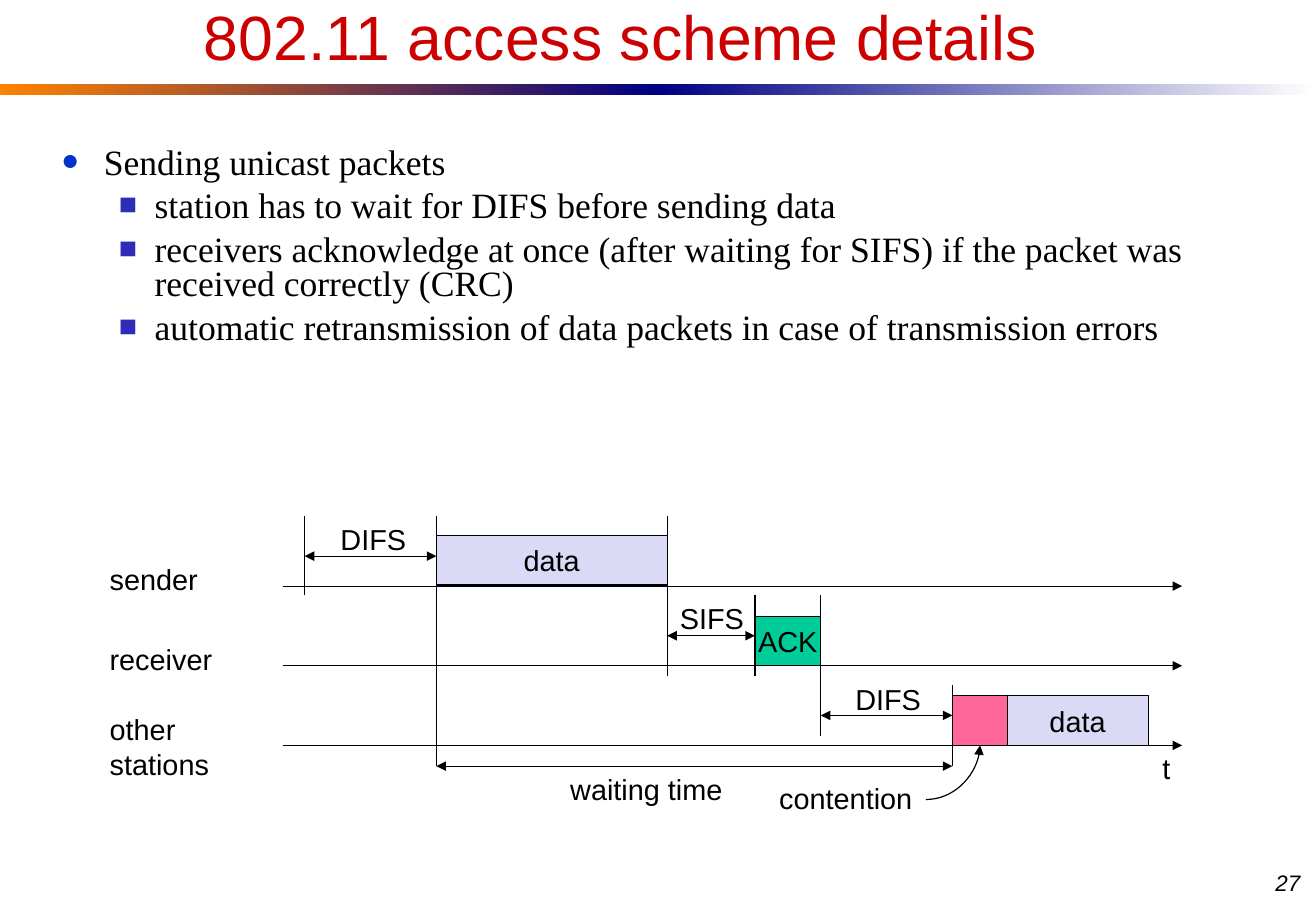
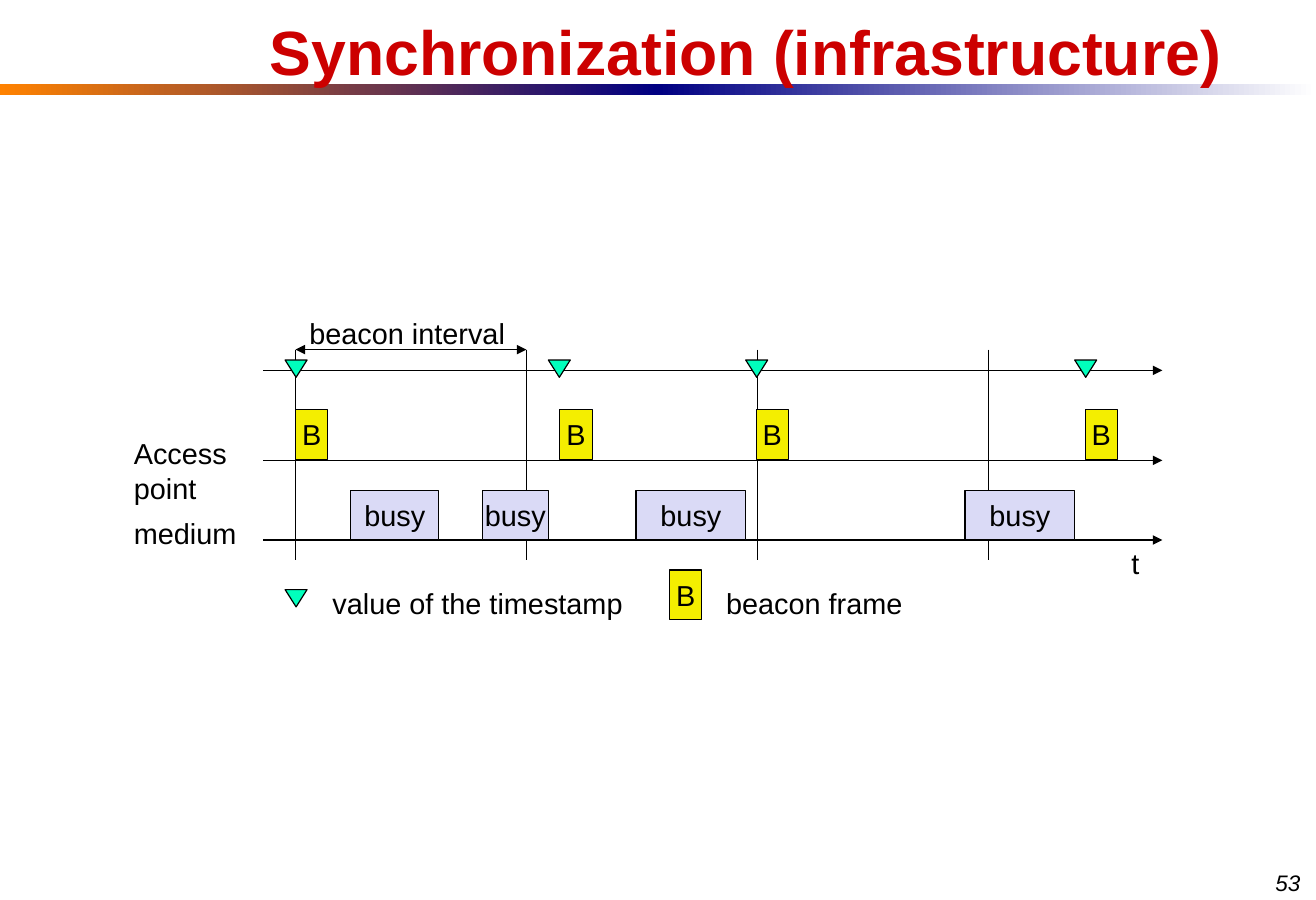
from lxml import etree
from pptx import Presentation
from pptx.dml.color import RGBColor
from pptx.enum.shapes import MSO_CONNECTOR, MSO_SHAPE
from pptx.enum.text import MSO_ANCHOR, MSO_AUTO_SIZE, PP_ALIGN
from pptx.oxml.ns import qn
from pptx.util import Inches, Pt

STRAIGHT, CURVE = MSO_CONNECTOR.STRAIGHT, MSO_CONNECTOR.CURVE
RECT, TRIANGLE = MSO_SHAPE.RECTANGLE, MSO_SHAPE.ISOSCELES_TRIANGLE
MIDDLE, TOP = MSO_ANCHOR.MIDDLE, MSO_ANCHOR.TOP
LEFT, CENTER = PP_ALIGN.LEFT, PP_ALIGN.CENTER
NO_FIT = MSO_AUTO_SIZE.NONE

BLACK = RGBColor(0x00, 0x00, 0x00)
WHITE = RGBColor(0xFF, 0xFF, 0xFF)
RED = RGBColor(0xCC, 0x00, 0x00)
ORANGE = RGBColor(0xFF, 0x82, 0x00)
NAVY = RGBColor(0x00, 0x00, 0x82)
BLUE = RGBColor(0x00, 0x33, 0xCC)
INDIGO = RGBColor(0x2D, 0x2D, 0xB9)
LAVENDER = RGBColor(0xDA, 0xDA, 0xF6)
GREEN = RGBColor(0x00, 0xCC, 0x99)
PINK = RGBColor(0xFF, 0x66, 0x99)
YELLOW = RGBColor(0xF4, 0xEE, 0x00)
MINT = RGBColor(0x01, 0xFF, 0xBC)

TITLE_FONT = {"name": "Arial", "size": Pt(39)}
BODY_FONT = {"name": "Times New Roman", "size": Pt(22.2)}
LABEL_FONT = {"name": "Arial", "size": Pt(18)}
NUMBER_FONT = {"name": "Arial", "size": Pt(14), "italic": True}
FRAME_TEXT = {"margin_left": Inches(0.11), "margin_right": Inches(0.11),
              "word_wrap": False, "vertical_anchor": MIDDLE}
LABEL_TEXT = {"margin_left": Inches(0.11), "margin_right": Inches(0.05),
              "word_wrap": True, "auto_size": NO_FIT}


def style_text(tf, font, color=BLACK, align=LEFT, **para):
    for p in tf.paragraphs:
        p.alignment = align
        for key, value in para.items():
            setattr(p, key, value)
        for r in p.runs:
            for key, value in font.items():
                setattr(r.font, key, value)
            r.font.color.rgb = color


def add_line(s, x1, y1, x2, y2, ends=(), kind=STRAIGHT):
    c = s.shapes.add_connector(kind, Inches(x1), Inches(y1), Inches(x2), Inches(y2))
    c.line.color.rgb = BLACK
    c.line.width = Pt(0.75)
    ln = c.line._get_or_add_ln()
    for end in ends:
        etree.SubElement(ln, qn("a:" + end), type="triangle")
    etree.SubElement(c._element.spPr, qn("a:effectLst"))
    return c


TO_END, BOTH_ENDS = ("tailEnd",), ("headEnd", "tailEnd")

prs = Presentation()
prs.slide_width, prs.slide_height = Inches(11.4), Inches(7.8)

# Slides with title and page number
slides = []
for layout, title, bold, number, x, w, h in [
    (1, "802.11 access scheme details", False, "27", 0.2, 10.35, 1.04),
    (5, "Synchronization (infrastructure)", True, "53", 1.9, 9.12, 1.3),
]:
    s = prs.slides.add_slide(prs.slide_layouts[layout])
    sp = s.shapes.title
    sp.left, sp.top, sp.width, sp.height = map(Inches, (x, -0.18, w, h))
    tf = sp.text_frame
    tf.text = title
    tf.auto_size, tf.vertical_anchor = NO_FIT, MIDDLE
    style_text(tf, {**TITLE_FONT, "bold": bold}, RED, CENTER, line_spacing=0.93)

    sp = s.shapes.add_textbox(*map(Inches, (10.95, 7.48, 0.45, 0.34)))
    sp.text_frame.text = number
    sp.text_frame.word_wrap = True
    style_text(sp.text_frame, NUMBER_FONT)
    slides.append(s)
access, sync = slides

# Gradient band, moved to the master that both slides share
for i, colors in enumerate([(ORANGE, NAVY), (NAVY, WHITE)]):
    sp = access.shapes.add_shape(RECT, *map(Inches, (5.7 * i, 0.73, 5.7, 0.09)))
    sp.shadow.inherit = False
    sp.line.fill.background()
    sp.fill.gradient()
    sp.fill.gradient_angle = 0
    for stop, color in zip(sp.fill.gradient_stops, colors):
        stop.color.rgb = color
    prs.slide_master.shapes._spTree.insert(2 + i, sp._element)

# Bulleted list
body = access.placeholders[1]
body.left, body.top, body.width, body.height = map(Inches, (0.43, 1.23, 10.35, 2.07))
tf = body.text_frame
tf.text = "\n".join([
    "Sending unicast packets",
    "station has to wait for DIFS before sending data",
    "receivers acknowledge at once (after waiting for SIFS) if the packet was "
    "received correctly (CRC)",
    "automatic retransmission of data packets in case of transmission errors",
])
tf.auto_size, tf.vertical_anchor = NO_FIT, TOP
style_text(tf, BODY_FONT, line_spacing=0.8, space_before=Pt(6), space_after=Pt(0))
tf.paragraphs[0].space_before = Pt(7)
for i, p in enumerate(tf.paragraphs):
    p.level = min(i, 1)
    margin, indent, color, char = [(0.37, -0.37, BLUE, "●"),
                                   (0.81, -0.31, INDIGO, "■")][p.level]
    pPr = p._p.get_or_add_pPr()
    pPr.set("marL", str(Inches(margin)))
    pPr.set("indent", str(Inches(indent)))
    clr = etree.SubElement(pPr, qn("a:buClr"))
    etree.SubElement(clr, qn("a:srgbClr"), val=str(color))
    etree.SubElement(pPr, qn("a:buSzPct"), val="85000")
    etree.SubElement(pPr, qn("a:buFont"), typeface="Times New Roman")
    etree.SubElement(pPr, qn("a:buChar"), char=char)

# Time axes
for s, x, ys in [(access, 2.45, (5.08, 5.77, 6.46)), (sync, 2.28, (3.21, 3.99, 4.68))]:
    for y in ys:
        add_line(s, x, y, x + 7.79, y, TO_END)

# Access scheme: time marks and intervals
for x, top, bottom in [(2.64, 4.47, 5.16), (3.78, 4.47, 6.64), (5.78, 4.47, 5.86),
                       (6.54, 5.16, 5.86), (7.11, 5.16, 6.38), (8.25, 5.94, 6.64)]:
    add_line(access, x, bottom, x, top)
for x1, x2, y in [(2.64, 3.78, 4.82), (5.78, 6.54, 5.51),
                  (7.11, 8.25, 6.2), (3.78, 8.25, 6.64)]:
    add_line(access, x1, y, x2, y, BOTH_ENDS)

# Synchronization: beacon intervals
for i in range(4):
    x = 2.56 + 2 * i
    add_line(sync, x, 3.03, x, 4.85)
add_line(sync, 2.56, 3.03, 4.56, 3.03, BOTH_ENDS)

# Frames and timestamps
frames = [
    (access, RECT, 3.78, 4.64, 2, 0.43, LAVENDER, "data"),
    (access, RECT, 6.54, 5.34, 0.57, 0.43, GREEN, "ACK"),
    (access, RECT, 8.72, 6.03, 1.23, 0.43, LAVENDER, "data"),
    (access, RECT, 8.25, 6.03, 0.48, 0.43, PINK, ""),
]
for x, w in [(3.04, 0.76), (4.18, 0.57), (5.51, 0.95), (8.36, 0.95)]:
    frames.append((sync, RECT, x, 4.25, w, 0.43, LAVENDER, "busy"))
for x, y in [(2.56, 3.55), (4.85, 3.55), (6.55, 3.55), (9.4, 3.55), (5.8, 4.94)]:
    frames.append((sync, RECT, x, y, 0.28, 0.43, YELLOW, "B"))
for x, y in [(2.47, 3.12), (4.75, 3.12), (6.46, 3.12), (9.31, 3.12), (2.47, 5.11)]:
    frames.append((sync, TRIANGLE, x, y, 0.19, 0.15, MINT, ""))

for s, kind, x, y, w, h, color, text in frames:
    sp = s.shapes.add_shape(kind, *map(Inches, (x, y, w, h)))
    sp.shadow.inherit = False
    sp.fill.solid()
    sp.fill.fore_color.rgb = color
    sp.line.color.rgb = BLACK
    sp.line.width = Pt(0.75)
    if kind == TRIANGLE:
        sp.rotation = 180
    if text:
        tf = sp.text_frame
        tf.text = text
        for key, value in FRAME_TEXT.items():
            setattr(tf, key, value)
        style_text(tf, LABEL_FONT, align=CENTER)

# Curved arrow to the contention window
arrow = add_line(access, 8.02, 6.93, 8.49, 6.46, TO_END, CURVE)
arrow._element.spPr.find(qn("a:prstGeom")).set("prst", "curvedConnector2")

# Labels
for s, text, x, y, w, h in [
    (access, "sender", 0.84, 4.82, 1.2, 0.41),
    (access, "receiver", 0.84, 5.51, 1.2, 0.41),
    (access, "other\nstations", 0.84, 6.12, 1.2, 0.71),
    (access, "DIFS", 2.84, 4.47, 0.8, 0.41),
    (access, "SIFS", 5.78, 5.16, 0.8, 0.41),
    (access, "DIFS", 7.3, 5.86, 0.8, 0.41),
    (access, "waiting time", 4.83, 6.64, 1.6, 0.41),
    (access, "contention", 6.64, 6.72, 1.4, 0.41),
    (access, "t", 9.96, 6.46, 0.3, 0.41),
    (sync, "beacon interval", 2.57, 2.69, 2, 0.41),
    (sync, "Access\npoint", 1.05, 3.73, 1.2, 0.71),
    (sync, "medium", 1.05, 4.42, 1.2, 0.41),
    (sync, "t", 9.69, 4.68, 0.3, 0.41),
    (sync, "value of the timestamp", 2.77, 5.03, 2.8, 0.41),
    (sync, "beacon frame", 6.18, 5.03, 1.8, 0.41),
]:
    tf = s.shapes.add_textbox(*map(Inches, (x, y, w, h))).text_frame
    tf.text = text
    for key, value in LABEL_TEXT.items():
        setattr(tf, key, value)
    style_text(tf, LABEL_FONT)

prs.save("out.pptx")
